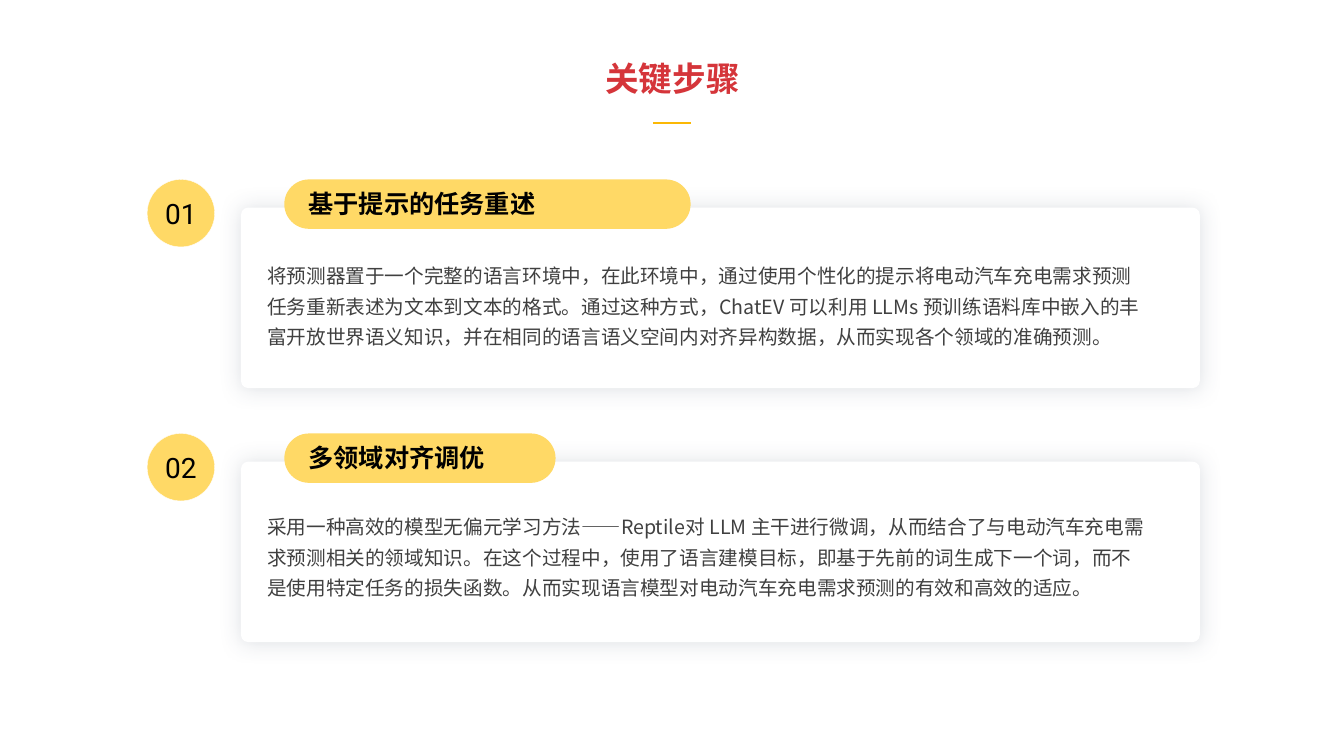
from dataclasses import dataclass

from lxml import etree
from pptx import Presentation
from pptx.dml.color import RGBColor
from pptx.enum.shapes import MSO_CONNECTOR, MSO_SHAPE
from pptx.enum.text import MSO_ANCHOR, PP_ALIGN
from pptx.oxml.ns import qn
from pptx.shapes.autoshape import Shape
from pptx.slide import Slide
from pptx.util import Inches, Pt

ROUNDED, OVAL = MSO_SHAPE.ROUNDED_RECTANGLE, MSO_SHAPE.OVAL
STRAIGHT = MSO_CONNECTOR.STRAIGHT
TOP, MIDDLE = MSO_ANCHOR.TOP, MSO_ANCHOR.MIDDLE
LEFT, CENTER = PP_ALIGN.LEFT, PP_ALIGN.CENTER

WHITE = RGBColor(0xFF, 0xFF, 0xFF)
BLACK = RGBColor(0x00, 0x00, 0x00)
GRAY = RGBColor(0x40, 0x40, 0x40)
RED = RGBColor(0xD5, 0x35, 0x3A)
YELLOW = RGBColor(0xFF, 0xD9, 0x66)
GOLD = RGBColor(0xFB, 0xB8, 0x05)
SHADOW = RGBColor(0x44, 0x54, 0x6A)

CHINESE_FONT = "Noto Sans CJK SC"
NUMBER_FONT = "Roboto"


@dataclass(frozen=True)
class Box:
    left: float
    top: float
    width: float
    height: float

    def lengths(self) -> list[int]:
        return [Inches(v) for v in (self.left, self.top, self.width, self.height)]


@dataclass(frozen=True)
class TextStyle:
    size: int
    color: RGBColor
    font: str = CHINESE_FONT
    bold: bool = False
    align: PP_ALIGN = LEFT
    anchor: MSO_ANCHOR = TOP
    line_spacing: float = 1.0


@dataclass(frozen=True)
class Step:
    number: str
    title: str
    body: str
    top: float
    body_top: float
    pill_width: float


TITLE_STYLE = TextStyle(24, RED, bold=True, align=CENTER, anchor=MIDDLE)
HEADING_STYLE = TextStyle(18, BLACK, bold=True)
BODY_STYLE = TextStyle(14, GRAY, line_spacing=1.3)
NUMBER_STYLE = TextStyle(20, BLACK, NUMBER_FONT, align=CENTER, anchor=MIDDLE,
                         line_spacing=0.9)

STEPS = [
    Step("01", "基于提示的任务重述",
         "将预测器置于一个完整的语言环境中，在此环境中，通过使用个性化的提示将电动汽车充电需求预测"
         "任务重新表述为文本到文本的格式。通过这种方式，ChatEV 可以利用 LLMs 预训练语料库中嵌入的"
         "丰富开放世界语义知识，并在相同的语言语义空间内对齐异构数据，从而实现各个领域的准确预测。",
         1.78, 2.55, 4.03),
    Step("02", "多领域对齐调优",
         "采用一种高效的模型无偏元学习方法——Reptile对 LLM 主干进行微调，从而结合了与电动汽车充电"
         "需求预测相关的领域知识。在这个过程中，使用了语言建模目标，即基于先前的词生成下一个词，而"
         "不是使用特定任务的损失函数。从而实现语言模型对电动汽车充电需求预测的有效和高效的适应。",
         4.3, 5.04, 2.69),
]


def add_text(page: Slide, place: Box, text: str, style: TextStyle) -> None:
    box = page.shapes.add_textbox(*place.lengths())
    frame = box.text_frame
    frame.word_wrap = True
    frame.vertical_anchor = style.anchor
    frame.margin_left = frame.margin_right = 0
    frame.margin_top = frame.margin_bottom = 0
    para = frame.paragraphs[0]
    para.alignment = style.align
    para.line_spacing = style.line_spacing
    span = para.add_run()
    span.text = text
    span.font.size = Pt(style.size)
    span.font.bold = style.bold
    span.font.color.rgb = style.color
    span.font.name = style.font
    # East Asian characters take their own font element
    properties = span.font._element
    etree.SubElement(properties, qn("a:ea"), typeface=style.font)


def add_panel(page: Slide, preset: MSO_SHAPE, place: Box, fill: RGBColor) -> Shape:
    panel = page.shapes.add_shape(preset, *place.lengths())
    panel.shadow.inherit = False
    panel.fill.solid()
    panel.fill.fore_color.rgb = fill
    panel.line.fill.background()
    return panel


def add_soft_shadow(panel: Shape) -> None:
    effects = panel._element.spPr.find(qn("a:effectLst"))
    shadow = etree.SubElement(effects, qn("a:outerShdw"), blurRad=str(Pt(15)),
                              dist="0", algn="ctr", rotWithShape="0")
    color = etree.SubElement(shadow, qn("a:srgbClr"), val=str(SHADOW))
    etree.SubElement(color, qn("a:alpha"), val="17000")


def add_step(page: Slide, step: Step) -> None:
    # Numbered circle
    circle = add_panel(page, OVAL, Box(1.46, step.top, 0.67, 0.67), YELLOW)
    circle.line.color.rgb = WHITE
    circle.line.width = Pt(0.25)
    add_text(page, Box(1.41, step.top + 0.15, 0.77, 0.41), step.number, NUMBER_STYLE)

    # Card with its heading pill
    card = add_panel(page, ROUNDED, Box(2.39, step.top + 0.28, 9.51, 1.79), WHITE)
    card.adjustments[0] = 0.04
    add_soft_shadow(card)
    pill = add_panel(page, ROUNDED, Box(2.82, step.top, step.pill_width, 0.49), YELLOW)
    pill.adjustments[0] = 0.5
    add_text(page, Box(3.06, step.top + 0.09, 3.66, 0.33), step.title, HEADING_STYLE)
    add_text(page, Box(2.65, step.body_top, 8.73, 0.94), step.body, BODY_STYLE)


def add_title(page: Slide) -> None:
    add_text(page, Box(5.25, 0.52, 2.84, 0.5), "关键步骤", TITLE_STYLE)
    rule = page.shapes.add_connector(STRAIGHT, Inches(6.48), Inches(1.22),
                                     Inches(6.85), Inches(1.22))
    rule.line.color.rgb = GOLD
    rule.line.width = Pt(2)
    etree.SubElement(rule._element.spPr, qn("a:effectLst"))


def main() -> None:
    deck = Presentation()
    deck.slide_width, deck.slide_height = Inches(13.33), Inches(7.5)
    page = deck.slides.add_slide(deck.slide_layouts[6])
    for step in STEPS:
        add_step(page, step)
    add_title(page)
    deck.save("out.pptx")


if __name__ == "__main__":
    main()
